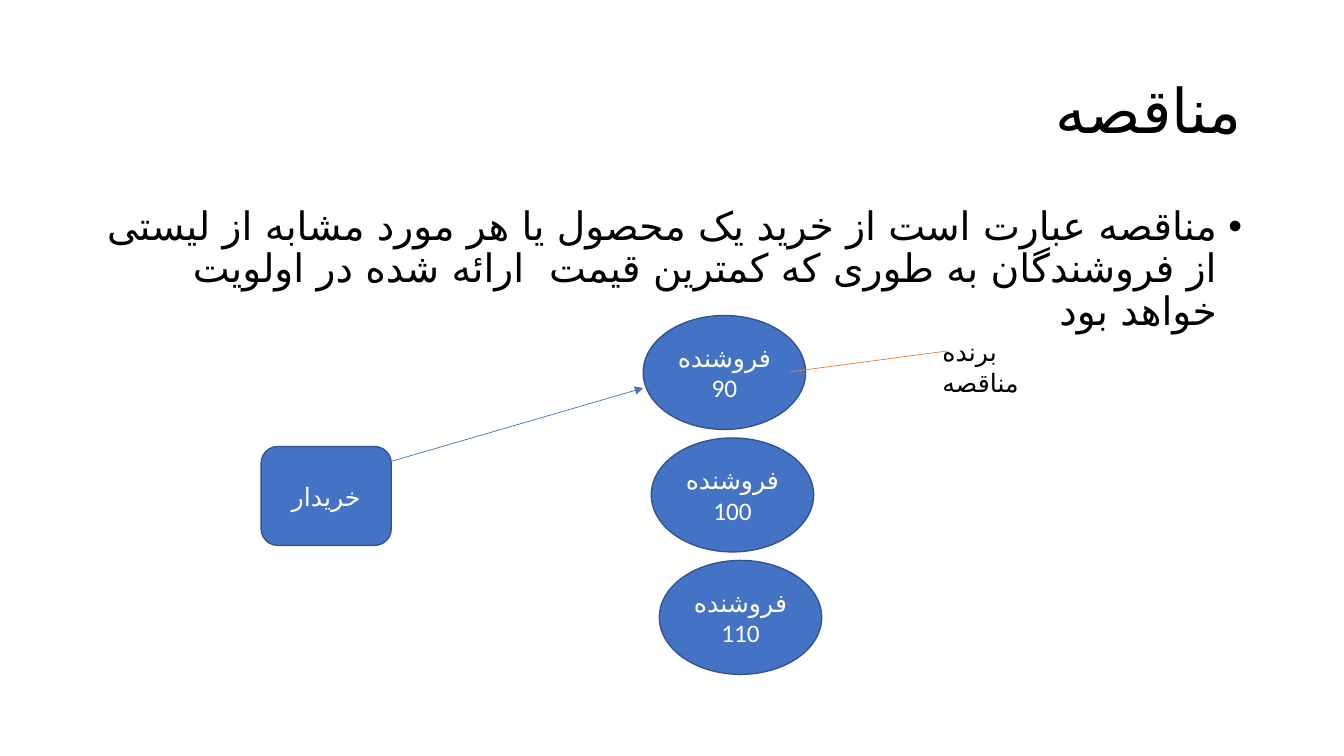
"""Build the tender slide: one buyer, three sellers and the winner."""
from pptx import Presentation
from pptx.dml.color import RGBColor
from pptx.enum.shapes import MSO_CONNECTOR, MSO_SHAPE
from pptx.enum.text import MSO_ANCHOR, MSO_AUTO_SIZE, PP_ALIGN
from pptx.oxml.ns import qn
from pptx.util import Inches, Pt

WIDTH, HEIGHT = Inches(13.33), Inches(7.5)
FONT = "Calibri"
PERSIAN_FONT = "DejaVu Sans"
BLACK = RGBColor(0x00, 0x00, 0x00)
WHITE = RGBColor(0xFF, 0xFF, 0xFF)
BLUE = RGBColor(0x44, 0x72, 0xC4)
NAVY = RGBColor(0x32, 0x54, 0x91)
ORANGE = RGBColor(0xED, 0x7D, 0x31)

TITLE = "مناقصه"
DEFINITION = (
    "مناقصه عبارت است از خرید یک محصول یا هر مورد مشابه از لیستی از "
    "فروشندگان به طوری که کمترین قیمت  ارائه شده در اولویت خواهد بود"
)
BUYER = "خریدار"
SELLER = "فروشنده"
WINNER = "برنده مناقصه"
PRICES = (90, 100, 110)


def scale(*shares):
    """Turn alternating x and y percentages of the slide into lengths."""
    return [round(v * (HEIGHT if i % 2 else WIDTH) / 100)
            for i, v in enumerate(shares)]


def write(sp, lines, size, color, align=None):
    """Fill a shape with one paragraph per line and return its text frame."""
    tf = sp.text_frame
    tf.text = "\n".join(lines)
    tf.word_wrap = True
    for p in tf.paragraphs:
        p.font.name = FONT
        p.font.size = Pt(size)
        p.font.color.rgb = color
        p.alignment = align
        for r in p.runs:
            rPr = r._r.get_or_add_rPr()
            rPr.set("lang", "fa-IR")
            rPr.append(rPr.makeelement(qn("a:cs"), {"typeface": PERSIAN_FONT}))
    return tf


def fill_placeholder(sp, box, text, size, anchor):
    """Place a template placeholder, write its text and return the paragraph."""
    sp.left, sp.top, sp.width, sp.height = scale(*box)
    tf = write(sp, [text], size, BLACK, PP_ALIGN.RIGHT)
    tf.auto_size = MSO_AUTO_SIZE.NONE
    tf.vertical_anchor = anchor
    p = tf.paragraphs[0]
    p.line_spacing = 0.9
    return p


def set_rtl_bullet(prs, p):
    """Make a paragraph a right-to-left bullet, with the template's indent."""
    p.space_before = Pt(10)
    pPr = p._p.get_or_add_pPr()
    pPr.set("rtl", "1")
    level = next(prs.slide_master.element.iter(qn("p:bodyStyle")))[0]
    for props in (level, pPr):
        props.set("marL", str(Inches(0.25)))
        props.set("indent", str(-Inches(0.25)))


def add_party(s, kind, box, lines):
    """Add a blue shape for a buyer or a seller."""
    sp = s.shapes.add_shape(kind, *scale(*box))
    sp.shadow.inherit = False
    sp.fill.solid()
    sp.fill.fore_color.rgb = BLUE
    sp.line.color.rgb = NAVY
    sp.line.width = Pt(1)
    tf = write(sp, lines, 18, WHITE, PP_ALIGN.CENTER)
    tf.vertical_anchor = MSO_ANCHOR.MIDDLE


def add_link(s, ends, color, arrow=False):
    """Add a thin straight line, with an arrowhead at its end if asked."""
    cxn = s.shapes.add_connector(MSO_CONNECTOR.STRAIGHT, *scale(*ends))
    cxn.line.color.rgb = color
    cxn.line.width = Pt(0.5)
    spPr = cxn._element.spPr
    if arrow:
        ln = spPr.find(qn("a:ln"))
        ln.append(ln.makeelement(qn("a:tailEnd"), {"type": "triangle"}))
    spPr.append(spPr.makeelement(qn("a:effectLst"), {}))


def main():
    """Build and save the slide."""
    prs = Presentation()
    prs.slide_width, prs.slide_height = WIDTH, HEIGHT
    s = prs.slides.add_slide(prs.slide_layouts[1])

    fill_placeholder(s.shapes.title, (6.9, 5.33, 86.27, 19.33), TITLE, 44,
                     MSO_ANCHOR.MIDDLE)
    p = fill_placeholder(s.placeholders[1], (6.9, 26.67, 86.27, 63.47),
                         DEFINITION, 28, MSO_ANCHOR.TOP)
    set_rtl_bullet(prs, p)

    add_party(s, MSO_SHAPE.ROUNDED_RECTANGLE, (19.43, 59.07, 9.68, 13.07), [BUYER])
    for i, price in enumerate(PRICES):
        box = (47.86 + 0.6 * i, 41.73 + 16.2 * i, 12.08, 15.07)
        add_party(s, MSO_SHAPE.OVAL, box, [SELLER, str(price)])

    add_link(s, (27.23, 62, 47.86, 51.33), BLUE, arrow=True)
    label = s.shapes.add_textbox(*scale(69.39, 43.87, 8.85, 5.33))
    write(label, [WINNER], 18, BLACK)
    add_link(s, (70.59, 46.4, 58.74, 49.2), ORANGE)

    prs.save("out.pptx")


if __name__ == "__main__":
    main()
